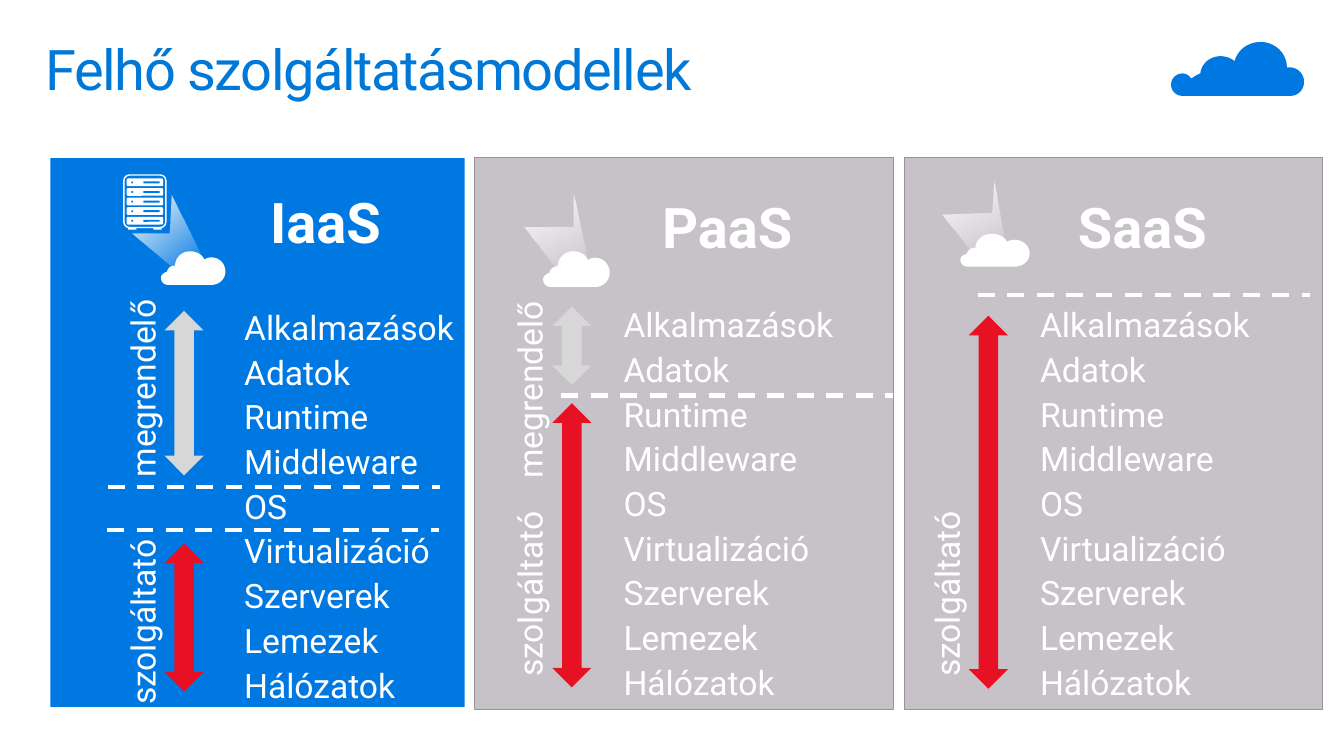
from pptx import Presentation
from pptx.dml.color import RGBColor
from pptx.enum.dml import MSO_LINE
from pptx.enum.shapes import MSO_CONNECTOR, MSO_SHAPE as SHAPE
from pptx.oxml.ns import qn
from pptx.util import Pt
from lxml import etree

BLUE = RGBColor(0x00, 0x78, 0xE1)
TITLE_BLUE = RGBColor(0x00, 0x78, 0xD7)
GREY = RGBColor(0xC7, 0xC1, 0xC8)
BORDER = RGBColor(0x9D, 0x90, 0xA0)
CUSTOMER = RGBColor(0xD7, 0xD7, 0xD7)
PROVIDER = RGBColor(0xE8, 0x11, 0x23)
WHITE = RGBColor(0xFF, 0xFF, 0xFF)

LAYERS = ["Alkalmazások", "Adatok", "Runtime", "Middleware", "OS",
          "Virtualizáció", "Szerverek", "Lemezek", "Hálózatok"]
ROLES = {"megrendelő": (CUSTOMER, 152.5), "szolgáltató": (PROVIDER, 140.5)}

# Cloud outlines: size, then a start point and cubic curves (or line ends)
SMALL_CLOUD = (64, 33), [
    (50, 33), (7, 33), (3, 33, 0, 30, 0, 26), (0, 23, 3, 21, 6, 20),
    (7, 16, 10, 14, 14, 14), (14, 6, 21, 0, 29, 0), (35, 0, 41, 3, 43, 8),
    (45, 7, 47, 6, 50, 6), (58, 6, 64, 12, 64, 20), (64, 27, 58, 33, 50, 33)]
BIG_CLOUD = (132, 53), [
    (118, 25), (115, 25), (115, 11, 103, 0, 89, 0), (76, 0, 66, 8, 63, 19),
    (60, 16, 54, 14, 49, 14), (39, 14, 30, 21, 29, 31),
    (26, 32, 23, 34, 20, 36), (18, 33, 15, 31, 11, 31),
    (5, 31, 0, 36, 0, 42), (0, 48, 5, 53, 11, 53), (119, 53),
    (126, 53, 132, 47, 132, 39), (132, 31, 125, 25, 118, 25)]

# Positions are points from the panel's top left corner; a zone is
# (role, label top, arrow top, arrow height), a divider is (left, top)
MODELS = [
    dict(name="IaaS", box=(36, 113, 296, 392), fill=BLUE, line=None,
         title=(145.5, 19.5), items=(124, 98), arrow_x=81.5, label_x=40,
         zones=[("megrendelő", 87, 109, 117.5), ("szolgáltató", 261.5, 275, 106)],
         dividers=[(41, 235), (40.5, 265.5)],
         cloud=(79, 66.5, 46, 24), beam_angle=310,
         beam=[(86.5, 26.5), (107.5, 68.5), (92, 81.5), (58.5, 53.5), (85, 53.5)]),
    dict(name="PaaS", box=(339, 112.5, 299, 394), fill=GREY, line=BORDER,
         title=(122.5, 23), items=(92, 96.5), arrow_x=55.5, label_x=13.5,
         zones=[("megrendelő", 88.5, 106.5, 56), ("szolgáltató", 242, 175.5, 203)],
         dividers=[(62, 170)],
         cloud=(49, 67, 47.5, 25.5), beam_angle=297,
         beam=[(70.5, 26.5), (80.5, 74), (62, 83.5), (35.5, 49.5), (70.5, 49.5)]),
    dict(name="SaaS", box=(646, 112.5, 299, 394), fill=GREY, line=BORDER,
         title=(112.5, 23), items=(82.5, 96.5), arrow_x=46, label_x=4.5,
         zones=[("szolgáltató", 242, 113, 266.5)],
         dividers=[(52.5, 98.5)],
         cloud=(40, 54.5, 49.5, 23.5), beam_angle=297,
         beam=[(64, 17.5), (71.5, 61), (52, 71.5), (27.5, 41), (62.5, 39.5)]),
]


def style(s, fill, line=None, width=0.75):
    s.shadow.inherit = False
    if fill is None:
        s.fill.background()
    else:
        s.fill.solid()
        s.fill.fore_color.rgb = fill
    if line is None:
        s.line.fill.background()
    else:
        s.line.color.rgb = line
        s.line.width = Pt(width)


def add_box(slide, kind, box, fill, line=None, width=0.75):
    s = slide.shapes.add_shape(kind, *map(Pt, box))
    style(s, fill, line, width)
    return s


def add_text(slide, box, lines, size, color, inset, bold=False, after=0, wrap=True):
    tf = slide.shapes.add_textbox(*map(Pt, box)).text_frame
    tf.word_wrap = wrap
    tf.margin_left = tf.margin_right = Pt(inset[0])
    tf.margin_top = tf.margin_bottom = Pt(inset[1])
    tf.text = "\n".join(lines)
    for p in tf.paragraphs:
        p.line_spacing = 0.9
        p.space_after = Pt(after)
        for r in p.runs:
            r.font.name = "Roboto"
            r.font.size = Pt(size)
            r.font.bold = bold
            r.font.color.rgb = color
    return tf


def add_outline(slide, points):
    points = [(Pt(x), Pt(y)) for x, y in points]
    fb = slide.shapes.build_freeform(*points[0])
    fb.add_line_segments(points[1:], close=True)
    return fb.convert_to_shape()


def add_cloud(slide, box, outline, color, steps=10):
    x, y, w, h = box
    (full_w, full_h), (start, *parts) = outline
    points = [start]
    for part in parts:
        if len(part) == 2:
            points.append(part)
            continue
        p0, p1, p2, p3 = points[-1], part[:2], part[2:4], part[4:]
        for i in range(1, steps + 1):
            t = i / steps
            u = 1 - t
            points.append(tuple(u**3 * a + 3 * u * u * t * b + 3 * u * t * t * c + t**3 * d
                                for a, b, c, d in zip(p0, p1, p2, p3)))
    s = add_outline(slide, [(x + px * w / full_w, y + py * h / full_h) for px, py in points])
    style(s, color)


def add_beam(slide, points, angle):
    s = add_outline(slide, points)
    style(s, WHITE)
    s.fill.gradient()
    s.fill.gradient_angle = angle
    for stop, position in zip(s.fill.gradient_stops, (0, 1)):
        stop.color.rgb = WHITE
        stop.position = position
    last = s._element.spPr.findall(".//" + qn("a:srgbClr"))[-1]
    etree.SubElement(last, qn("a:alpha")).set("val", "0")


def add_server(slide, x, y):
    case = add_box(slide, SHAPE.ROUNDED_RECTANGLE, (x + 0.5, y + 0.5, 30, 37.5), None, WHITE, 1)
    case.adjustments[0] = 0.13
    for foot_x in (3.5, 21.5):
        add_box(slide, SHAPE.RECTANGLE, (x + foot_x, y + 38, 6, 1.5), WHITE)
    for row in range(5):
        top = y + 3 + row * 6.85
        add_box(slide, SHAPE.ROUNDED_RECTANGLE, (x + 2.5, top, 26, 5.5), WHITE)
        add_box(slide, SHAPE.OVAL, (x + 5.75, top + 2.1, 1.4, 1.4), BLUE)
        add_box(slide, SHAPE.ROUNDED_RECTANGLE, (x + 14.5, top + 2.1, 11.5, 1.4), BLUE)


def add_divider(slide, x, y):
    c = slide.shapes.add_connector(MSO_CONNECTOR.STRAIGHT, Pt(x), Pt(y), Pt(x + 237), Pt(y))
    c.line.color.rgb = WHITE
    c.line.width = Pt(3)
    c.line.dash_style = MSO_LINE.DASH
    etree.SubElement(c._element.spPr, qn("a:effectLst"))


def add_header(slide, x, y, w, h):
    tf = add_text(slide, (x, y, w, h), ["Felhő szolgáltatásmodellek"], 40, TITLE_BLUE, (11.5, 7.2))
    tf.paragraphs[0].runs[0].font._element.set("spc", "-100")
    add_cloud(slide, (x + 815.5, y + 7, 95, 38.5), BIG_CLOUD, BLUE)


def add_model(slide, m):
    x, y = m["box"][:2]

    def at(dx, dy, *size):
        return (x + dx, y + dy, *size)

    # Panel and icon
    add_box(slide, SHAPE.RECTANGLE, m["box"], m["fill"], m["line"])
    if m["name"] == "IaaS":
        add_server(slide, *at(52, 11.5))
    add_cloud(slide, at(*m["cloud"]), SMALL_CLOUD, WHITE)
    add_beam(slide, [at(*point) for point in m["beam"]], m["beam_angle"])

    # Name and layers
    add_text(slide, at(*m["title"], 183, 58.5), [m["name"]], 40, WHITE, (11.5, 7.2), bold=True)
    add_text(slide, at(*m["items"], 242, 307.5), LAYERS, 24, WHITE, (14.4, 11.5), after=6)

    # Who is responsible for which layers
    for role, label_y, arrow_y, arrow_h in m["zones"]:
        color, length = ROLES[role]
        add_box(slide, SHAPE.UP_DOWN_ARROW, at(m["arrow_x"], arrow_y, 28, arrow_h), color)
        tf = add_text(slide, at(m["label_x"], label_y, 55.5, length), [role], 24, WHITE,
                      (14.4, 11.5), after=6, wrap=False)
        tf._txBody.bodyPr.set("vert", "vert270")
    for divider in m["dividers"]:
        add_divider(slide, *at(*divider))


def main():
    prs = Presentation()
    prs.slide_width, prs.slide_height = Pt(960), Pt(540)
    slide = prs.slides.add_slide(prs.slide_layouts[6])
    add_header(slide, 21, 23, 918, 70.5)
    for m in MODELS:
        add_model(slide, m)
    prs.save("out.pptx")


if __name__ == "__main__":
    main()
